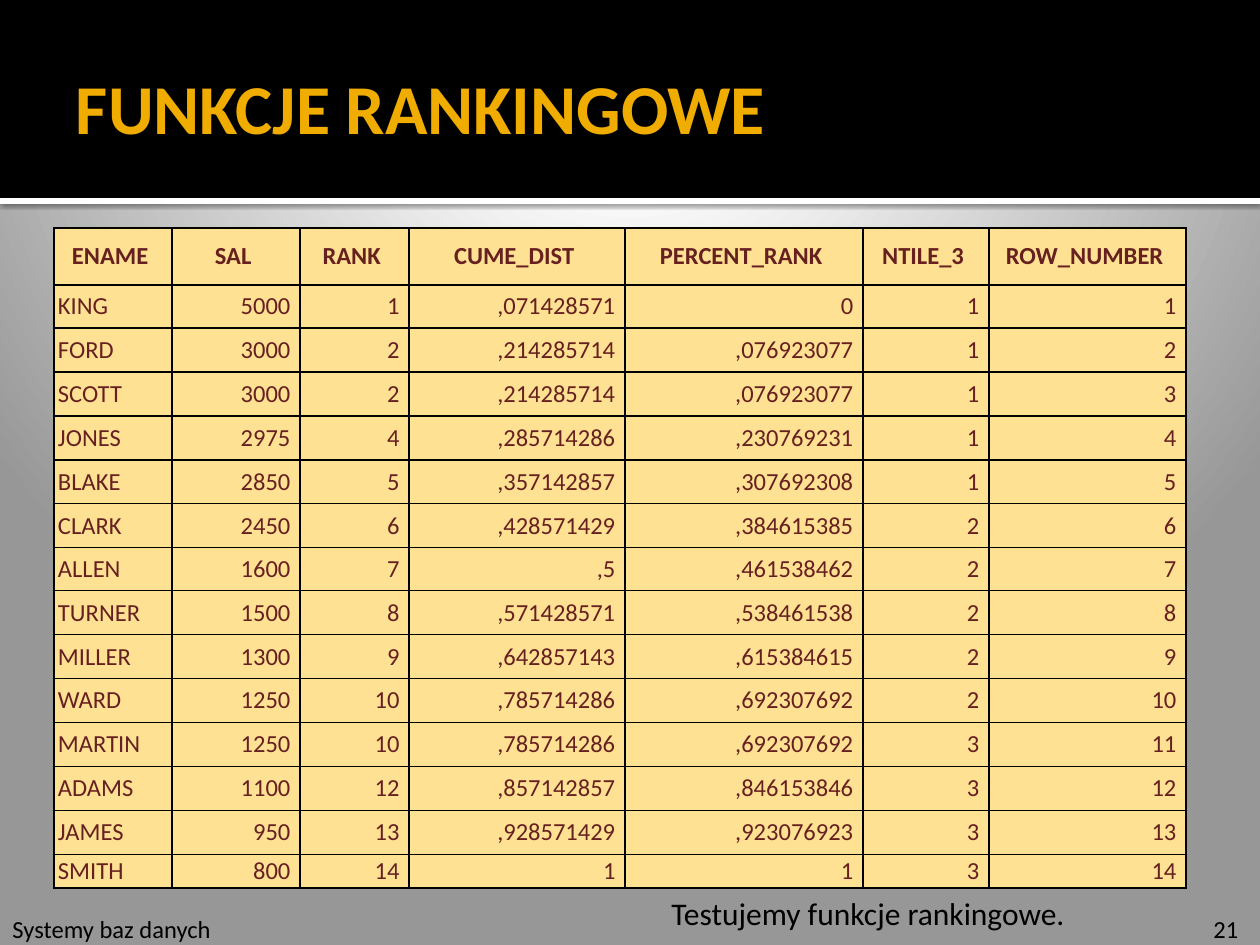
from itertools import pairwise

from pptx import Presentation
from pptx.dml.color import RGBColor
from pptx.enum.shapes import MSO_SHAPE
from pptx.enum.text import MSO_ANCHOR, MSO_AUTO_SIZE, PP_ALIGN
from pptx.oxml import parse_xml
from pptx.oxml.ns import nsdecls
from pptx.util import Emu, Pt

RECTANGLE = MSO_SHAPE.RECTANGLE
MIDDLE = MSO_ANCHOR.MIDDLE
FIT_SHAPE, NO_FIT = MSO_AUTO_SIZE.SHAPE_TO_FIT_TEXT, MSO_AUTO_SIZE.NONE
LEFT, CENTER, RIGHT = PP_ALIGN.LEFT, PP_ALIGN.CENTER, PP_ALIGN.RIGHT

EMU_PER_PX = 914400 / 126
TITLE_ONLY = 5
COLORS = {
    "white": "FFFFFF",
    "black": "000000",
    "gray": "979797",
    "gold": "F0AD00",
    "cell": "FFE193",
    "maroon": "672020",
}

HEADERS = ["ENAME", "SAL", "RANK", "CUME_DIST", "PERCENT_RANK", "NTILE_3", "ROW_NUMBER"]
EMPLOYEES = [
    ("KING", 5000, 1, ",071428571", "0", 1),
    ("FORD", 3000, 2, ",214285714", ",076923077", 1),
    ("SCOTT", 3000, 2, ",214285714", ",076923077", 1),
    ("JONES", 2975, 4, ",285714286", ",230769231", 1),
    ("BLAKE", 2850, 5, ",357142857", ",307692308", 1),
    ("CLARK", 2450, 6, ",428571429", ",384615385", 2),
    ("ALLEN", 1600, 7, ",5", ",461538462", 2),
    ("TURNER", 1500, 8, ",571428571", ",538461538", 2),
    ("MILLER", 1300, 9, ",642857143", ",615384615", 2),
    ("WARD", 1250, 10, ",785714286", ",692307692", 2),
    ("MARTIN", 1250, 10, ",785714286", ",692307692", 3),
    ("ADAMS", 1100, 12, ",857142857", ",846153846", 3),
    ("JAMES", 950, 13, ",928571429", ",923076923", 3),
    ("SMITH", 800, 14, "1", "1", 3),
]
COLUMN_WIDTHS = [118, 128, 109, 216, 238, 126, 197]
ROW_EDGES = [228, *(285 + 570 * i // 13 for i in range(14)), 888]


def px(length):
    return Emu(round(length * EMU_PER_PX))


def rgb(color):
    return RGBColor.from_string(COLORS[color])


class SlideBuilder:
    font = "Calibri"

    def __init__(self, slide):
        self.slide = slide

    def background(self):
        stops = "".join(
            f'<a:gs pos="{percent * 1000}"><a:srgbClr val="{COLORS[color]}"/></a:gs>'
            for percent, color in [(0, "white"), (20, "white"), (100, "gray")]
        )
        self.slide.element.cSld.insert(0, parse_xml(
            f'<p:bg {nsdecls("p", "a")}><p:bgPr><a:gradFill rotWithShape="1">'
            f'<a:gsLst>{stops}</a:gsLst><a:path path="circle">'
            '<a:fillToRect l="10000" t="-25000" r="10000" b="125000"/></a:path>'
            '</a:gradFill><a:effectLst/></p:bgPr></p:bg>'
        ))

    def bar(self, x, y, width, height, color):
        bar = self.slide.shapes.add_shape(RECTANGLE, px(x), px(y), px(width), px(height))
        bar.shadow.inherit = False
        bar.fill.solid()
        bar.fill.fore_color.rgb = rgb(color)
        bar.line.fill.background()
        return bar

    def shadow(self, bar):
        effects = bar.element.spPr.find("{*}effectLst")
        effects.append(parse_xml(
            f'<a:outerShdw {nsdecls("a")} blurRad="{Pt(2.5)}" dist="{Pt(0.8)}" '
            f'dir="5400000" rotWithShape="0"><a:srgbClr val="{COLORS["black"]}">'
            '<a:alpha val="60000"/></a:srgbClr></a:outerShdw>'
        ))

    def add_text(self, frame, text, size, color, bold=False, align=LEFT):
        paragraph = frame.paragraphs[0]
        paragraph.alignment = align
        run = paragraph.add_run()
        run.text = text
        run.font.name = self.font
        run.font.size = Pt(size)
        run.font.bold = bold
        run.font.color.rgb = rgb(color)

    def title(self, text, x, y, width, height):
        title = self.slide.shapes.title
        title.left, title.top, title.width, title.height = map(px, (x, y, width, height))
        title.element.getparent().append(title.element)
        frame = title.text_frame
        frame.auto_size = NO_FIT
        frame.vertical_anchor = MIDDLE
        frame.margin_left = px(13)
        frame.margin_right = frame.margin_top = frame.margin_bottom = px(6)
        self.add_text(frame, text, 40, "gold", bold=True)

    def label(self, text, x, y, width, height, size):
        box = self.slide.shapes.add_textbox(px(x), px(y), px(width), px(height))
        box.text_frame.word_wrap = False
        box.text_frame.auto_size = FIT_SHAPE
        self.add_text(box.text_frame, text, size, "black")

    def cell(self, cell, text, bold, align):
        cell.vertical_anchor = MIDDLE
        cell.margin_left = cell.margin_right = px(4)
        cell.margin_top = cell.margin_bottom = px(2)
        properties = cell._tc.get_or_add_tcPr()
        for side in "LRTB":
            properties.append(parse_xml(
                f'<a:ln{side} {nsdecls("a")} w="{Pt(1)}"><a:solidFill>'
                f'<a:srgbClr val="{COLORS["black"]}"/></a:solidFill></a:ln{side}>'
            ))
        cell.fill.solid()
        cell.fill.fore_color.rgb = rgb("cell")
        self.add_text(cell.text_frame, text, 14, "maroon", bold, align)

    def table(self, x, row_edges, column_widths, headers, records):
        top, bottom = row_edges[0], row_edges[-1]
        table = self.slide.shapes.add_table(
            len(records) + 1, len(headers),
            px(x), px(top), px(sum(column_widths)), px(bottom - top),
        ).table
        for column, width in zip(table.columns, column_widths):
            column.width = px(width)
        for row, (upper, lower) in zip(table.rows, pairwise(row_edges)):
            row.height = px(lower - upper)
        for column, header in enumerate(headers):
            self.cell(table.cell(0, column), f"{header} ", True, CENTER)
        for row, (name, *values) in enumerate(records, 1):
            self.cell(table.cell(row, 0), name, False, LEFT)
            for column, value in enumerate(values, 1):
                self.cell(table.cell(row, column), f"{value} ", False, RIGHT)


def main():
    presentation = Presentation()
    presentation.slide_width, presentation.slide_height = px(1260), px(945)
    layout = presentation.slide_layouts[TITLE_ONLY]
    builder = SlideBuilder(presentation.slides.add_slide(layout))

    builder.background()
    divider = builder.bar(0, 198, 1260, 6, "white")
    builder.shadow(divider)
    builder.bar(0, 0, 1260, 198, "black")
    builder.label("Systemy baz danych", 0, 908, 362, 43, 14)
    builder.label("21", 1201, 908, 59, 43, 14)
    builder.title("FUNKCJE RANKINGOWE", 63, 58, 1134, 97)
    builder.label("Testujemy funkcje rankingowe.", 659, 888, 476, 50, 18)
    ranking = [(*employee, number) for number, employee in enumerate(EMPLOYEES, 1)]
    builder.table(54, ROW_EDGES, COLUMN_WIDTHS, HEADERS, ranking)

    presentation.save("out.pptx")


if __name__ == "__main__":
    main()
